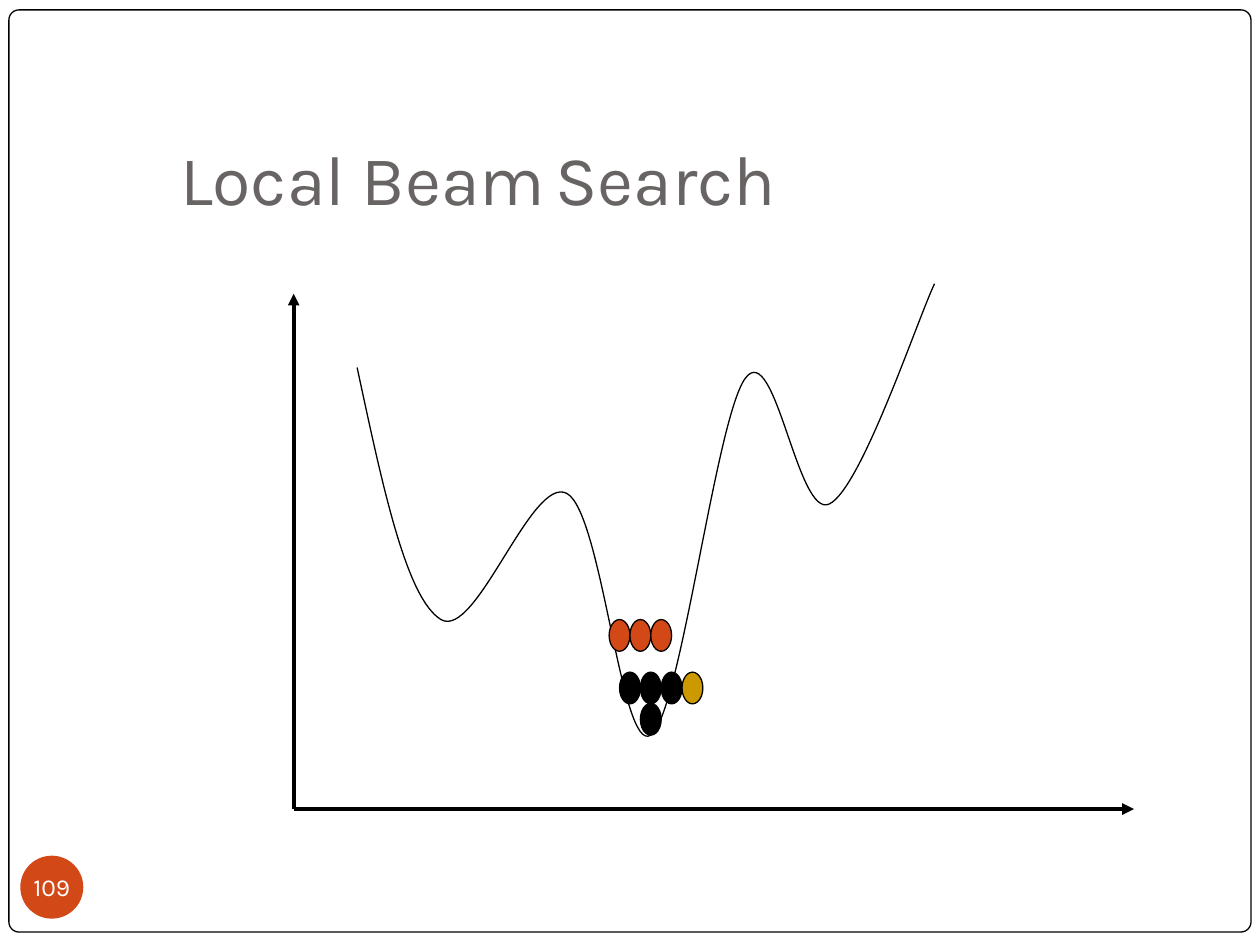
from lxml import etree
from pptx import Presentation
from pptx.dml.color import RGBColor
from pptx.enum.shapes import MSO_CONNECTOR, MSO_SHAPE
from pptx.enum.text import MSO_ANCHOR, PP_ALIGN
from pptx.oxml.ns import qn
from pptx.util import Cm, Pt

ROUNDED, OVAL = MSO_SHAPE.ROUNDED_RECTANGLE, MSO_SHAPE.OVAL
STRAIGHT = MSO_CONNECTOR.STRAIGHT
BOTTOM, MIDDLE = MSO_ANCHOR.BOTTOM, MSO_ANCHOR.MIDDLE
LEFT, CENTER = PP_ALIGN.LEFT, PP_ALIGN.CENTER

FONT = "Karla"
WHITE = RGBColor(0xFF, 0xFF, 0xFF)
BLACK = RGBColor(0x00, 0x00, 0x00)
GRAY = RGBColor(0x69, 0x64, 0x64)
ORANGE = RGBColor(0xD3, 0x48, 0x17)
RUST = RGBColor(0x9B, 0x2D, 0x1F)
GOLD = RGBColor(0xCC, 0x99, 0x00)

ORIGIN = (5.92, 16.31)
Y_AXIS_TOP = (5.92, 5.92)
X_AXIS_END = (22.86, 16.31)

CURVE_START = (7.2, 7.41)
# Three points per curve: two control points and the end point
CURVE_POINTS = [
    (7.7, 9.73), (8.18, 12.06), (8.89, 12.49),
    (9.6, 12.91), (10.72, 9.56), (11.43, 9.95),
    (12.14, 10.34), (12.52, 15.22), (13.12, 14.82),
    (13.72, 14.42), (14.43, 8.41), (15.03, 7.62),
    (15.63, 6.83), (16.08, 10.47), (16.72, 10.16),
    (17.36, 9.85), (18.49, 6.46), (18.84, 5.72),
]

STATE_W, STATE_H = 0.42, 0.64
# Left, top and the colours of each row of states
STATE_ROWS = [
    (12.28, 12.49, [ORANGE] * 3),
    (12.91, 14.18, [BLACK]),
    (12.49, 13.55, [BLACK] * 3 + [GOLD]),
]


def style_run(r, size, color):
    r.font.name = FONT
    r.font.size = Pt(size)
    r.font.color.rgb = color


def add_shape(s, kind, left, top, width, height, fill, line=BLACK):
    sp = s.shapes.add_shape(kind, Cm(left), Cm(top), Cm(width), Cm(height))
    sp.shadow.inherit = False
    sp.fill.solid()
    sp.fill.fore_color.rgb = fill
    if line is None:
        sp.line.fill.background()
    else:
        sp.line.color.rgb = line
        sp.line.width = Pt(0.75)
    return sp


def add_frame(s):
    """Add the page border behind everything else."""
    frame = add_shape(s, ROUNDED, 0.18, 0.2, 25.04, 18.59, WHITE)
    frame.adjustments[0] = 0.011
    s.shapes._spTree.insert(2, frame._element)


def set_title(s):
    title = s.shapes.title
    title.left, title.top = Cm(3.38), Cm(2.39)
    title.width, title.height = Cm(21.64), Cm(2.29)
    tf = title.text_frame
    tf.vertical_anchor = BOTTOM
    tf.margin_left = tf.margin_right = tf.margin_bottom = Cm(0.25)
    tf.margin_top = Cm(0.13)
    p = tf.paragraphs[0]
    p.alignment = LEFT
    for text, size, color, italic in [
        ("Local Beam", 40, GRAY, False),
        (" ", 28, RUST, True),
        ("Search", 40, GRAY, False),
    ]:
        r = p.add_run()
        r.text = text
        style_run(r, size, color)
        r.font.italic = italic


def add_page_number(s, text):
    badge = add_shape(s, OVAL, 0.41, 17.25, 1.27, 1.27, ORANGE, None)
    tf = badge.text_frame
    tf.margin_left = tf.margin_right = tf.margin_top = tf.margin_bottom = 0
    tf.vertical_anchor = MIDDLE
    tf.word_wrap = False
    tf.text = text
    p = tf.paragraphs[0]
    p.alignment = CENTER
    style_run(p.runs[0], 14, WHITE)


def add_axis(s, start, end):
    axis = s.shapes.add_connector(STRAIGHT, *map(Cm, start + end))
    axis.line.color.rgb = BLACK
    axis.line.width = Pt(2.25)
    ln = axis.line._get_or_add_ln()
    etree.SubElement(ln, qn("a:tailEnd"), type="triangle")
    etree.SubElement(axis._element.spPr, qn("a:effectLst"))


def add_curve(s, start, points):
    """Draw a smooth open line by joining point triplets into cubic curves."""
    builder = s.shapes.build_freeform(Cm(start[0]), Cm(start[1]))
    builder.add_line_segments([(Cm(x), Cm(y)) for x, y in points], close=False)
    curve = builder.convert_to_shape()
    curve.shadow.inherit = False
    curve.fill.background()
    curve.line.color.rgb = BLACK
    curve.line.width = Pt(0.75)
    outline = next(curve._element.iter(qn("a:path")))
    segments = outline.findall(qn("a:lnTo"))
    for i in range(0, len(segments), 3):
        bezier = etree.SubElement(outline, qn("a:cubicBezTo"))
        for segment in segments[i:i + 3]:
            bezier.append(segment[0])
            outline.remove(segment)


def add_states(s, left, top, colors):
    for i, color in enumerate(colors):
        add_shape(s, OVAL, left + i * STATE_W, top, STATE_W, STATE_H, color)


def main():
    prs = Presentation()
    prs.slide_width, prs.slide_height = Cm(25.4), Cm(19.05)
    s = prs.slides.add_slide(prs.slide_layouts[5])
    add_frame(s)
    set_title(s)
    add_page_number(s, "109")
    for end in (Y_AXIS_TOP, X_AXIS_END):
        add_axis(s, ORIGIN, end)
    add_curve(s, CURVE_START, CURVE_POINTS)
    for left, top, colors in STATE_ROWS:
        add_states(s, left, top, colors)
    prs.save("out.pptx")


if __name__ == "__main__":
    main()
